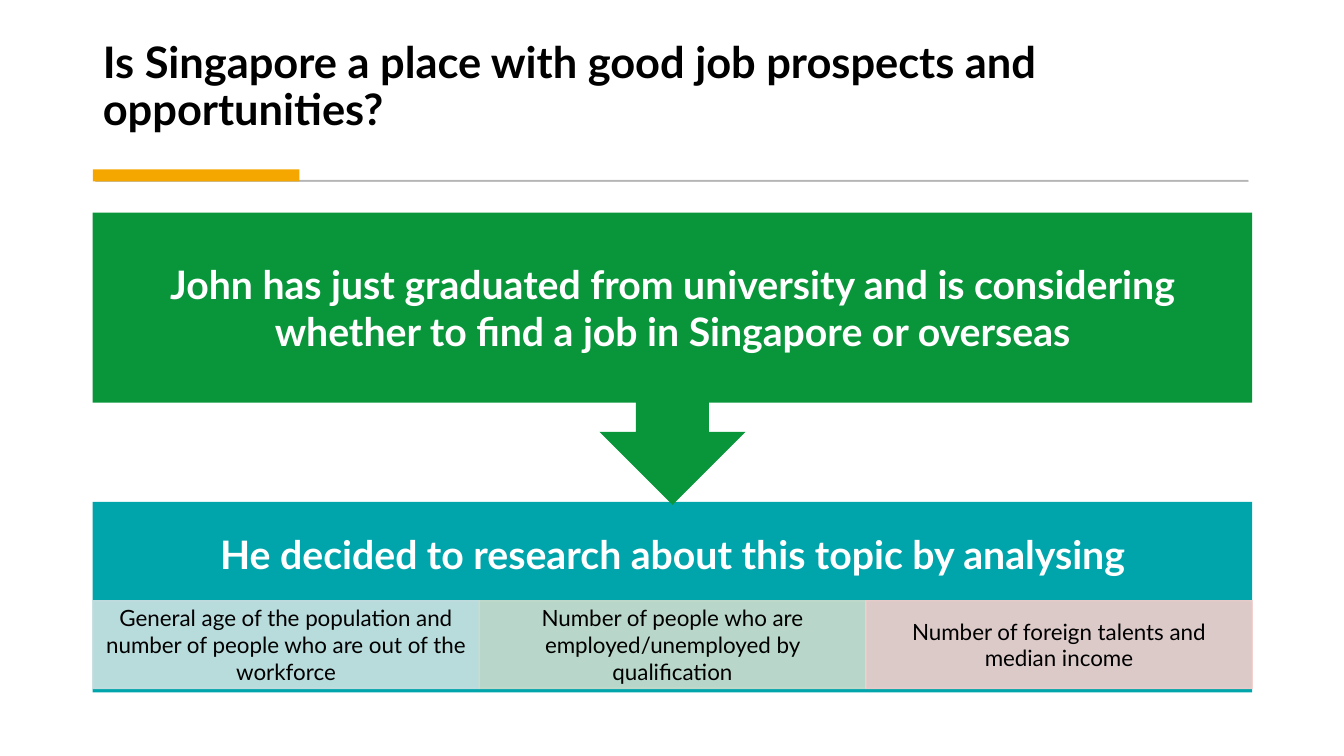
from lxml.etree import SubElement
from pptx import Presentation
from pptx.dml.color import RGBColor
from pptx.enum.shapes import MSO_SHAPE
from pptx.enum.text import MSO_ANCHOR, PP_ALIGN
from pptx.oxml.ns import qn
from pptx.util import Inches, Pt

WHITE = RGBColor(0xFF, 0xFF, 0xFF)
BLACK = RGBColor(0, 0, 0)
GREY = RGBColor(0x59, 0x59, 0x59)
AMBER = RGBColor(0xF5, 0xA7, 0x00)
GREEN = RGBColor(0x09, 0x96, 0x3B)
TEAL = RGBColor(0x00, 0xA5, 0xAB)
AQUA = RGBColor(0xCC, 0xE1, 0xE2)
MINT = RGBColor(0xCC, 0xDD, 0xCE)
PINK = RGBColor(0xF5, 0xCF, 0xCD)

LEFT, WIDTH = 0.92, 11.5
HEAD = {"name": "Lato", "size": Pt(28), "bold": True}
BODY = {"name": "Lato", "size": Pt(16), "bold": False}
TOPICS = [
    ("General age of the population and number of people who are out of the workforce", AQUA),
    ("Number of people who are employed/unemployed by qualification", MINT),
    ("Number of foreign talents and median income", PINK),
]


def style(font, look, color):
    for name, value in look.items():
        setattr(font, name, value)
    font.color.rgb = color


def paint(fill, color, alpha):
    """Fill with a solid colour at the given percentage of opacity."""
    fill.solid()
    fill.fore_color.rgb = color
    if alpha < 100:
        for node in fill._xPr.iter(qn("a:srgbClr")):
            SubElement(node, qn("a:alpha"), val=str(alpha * 1000))


def add_box(slide, box, color, kind=MSO_SHAPE.RECTANGLE, alpha=100, edge=None):
    shape = slide.shapes.add_shape(kind, *map(Inches, box))
    shape.shadow.inherit = False
    if edge:
        shape.line.width = Pt(edge)
        paint(shape.line.fill, color, alpha)
    else:
        shape.line.fill.background()
    paint(shape.fill, color, alpha)
    return shape


def set_text(shape, text, look, color, pads):
    """Write centred text; pads are the left, top, right and bottom insets."""
    frame = shape.text_frame
    frame.word_wrap = True
    frame.vertical_anchor = MSO_ANCHOR.MIDDLE
    for side, pad in zip(("left", "top", "right", "bottom"), pads):
        setattr(frame, f"margin_{side}", Inches(pad))
    para = frame.paragraphs[0]
    para.alignment = PP_ALIGN.CENTER
    run = para.add_run()
    run.text = text
    style(run.font, look, color)


def add_title(slide, box, text):
    title = slide.shapes.title
    for name, value in zip(("left", "top", "width", "height"), box):
        setattr(title, name, Inches(value))
    frame = title.text_frame
    frame.word_wrap = True
    frame.vertical_anchor = MSO_ANCHOR.BOTTOM
    para = frame.paragraphs[0]
    para.alignment = PP_ALIGN.LEFT
    para.line_spacing = 0.9
    run = para.add_run()
    run.text = text
    style(run.font, {**HEAD, "size": Pt(31)}, BLACK)


def add_rule(slide, left, top, width):
    add_box(slide, (left + 0.03, top + 0.11, width - 0.07, 0.01), GREY, alpha=30, edge=0.75)
    add_box(slide, (left, top, 2.05, 0.12), AMBER)


def add_panel(slide, box, text, topics):
    """Draw a headed panel with a row of equal topic cells near its foot."""
    left, top, width, height = box
    deep, foot = 0.87, 0.04
    panel = add_box(slide, box, TEAL)
    set_text(panel, text, HEAD, WHITE, (0.22, 0.22, 0.22, 0.22 + deep))
    wide = width / len(topics)
    for i, (topic, color) in enumerate(topics):
        spot = (left + i * wide, top + height - foot - deep, wide, deep)
        cell = add_box(slide, spot, color, alpha=90, edge=1)
        set_text(cell, topic, BODY, BLACK, (0.12, 0.02, 0.12, 0.02))


def add_intro(slide, box, text):
    intro = add_box(slide, box, GREEN, MSO_SHAPE.DOWN_ARROW_CALLOUT)
    set_text(intro, text, HEAD, WHITE, (0.22,) * 4)


def main():
    deck = Presentation()
    deck.slide_width, deck.slide_height = Inches(13.33), Inches(7.5)
    slide = deck.slides.add_slide(deck.slide_layouts[5])
    add_title(slide, (LEFT, 0.28, WIDTH, 1.11),
              "Is Singapore a place with good job prospects and opportunities?")
    add_rule(slide, LEFT, 1.68, WIDTH)
    add_panel(slide, (LEFT, 4.98, WIDTH, 1.89),
              "He decided to research about this topic by analysing", TOPICS)
    add_intro(slide, (LEFT, 2.11, WIDTH, 2.9),
              "John has just graduated from university and is considering "
              "whether to find a job in Singapore or overseas")
    deck.save("out.pptx")


if __name__ == "__main__":
    main()
